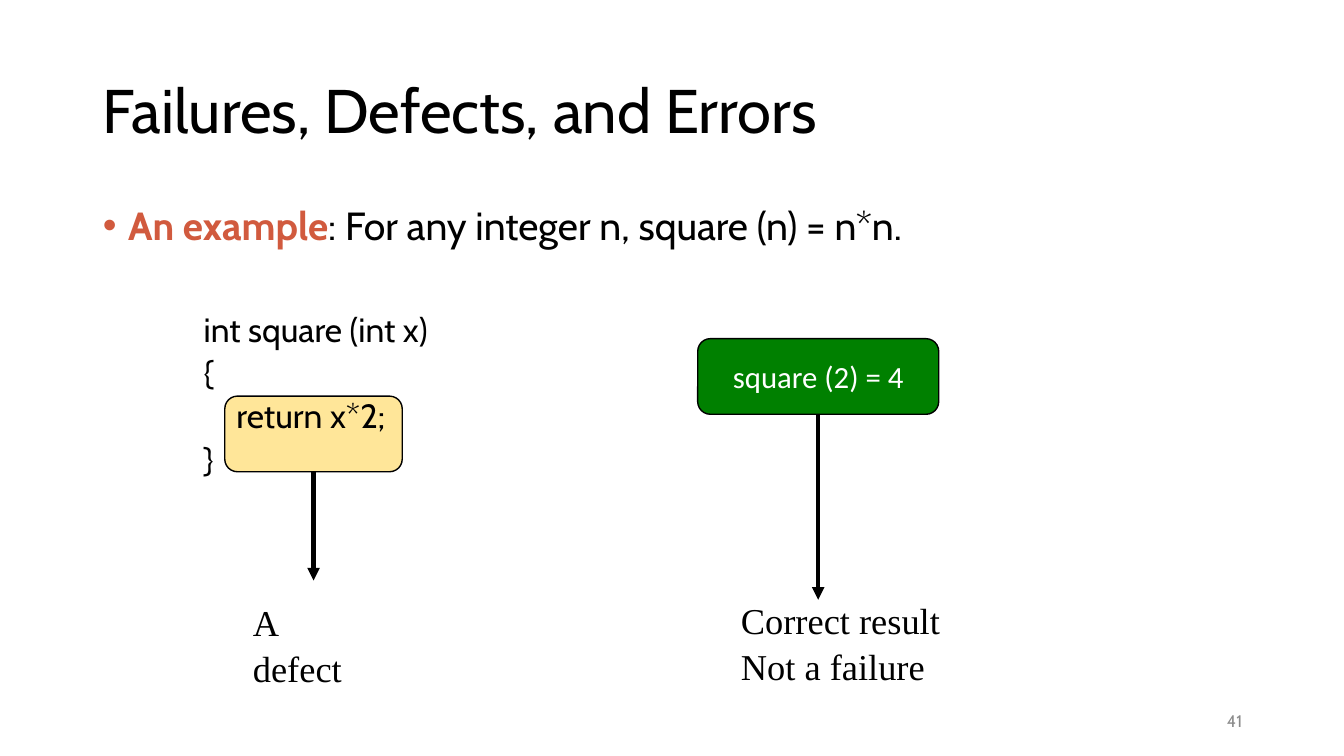
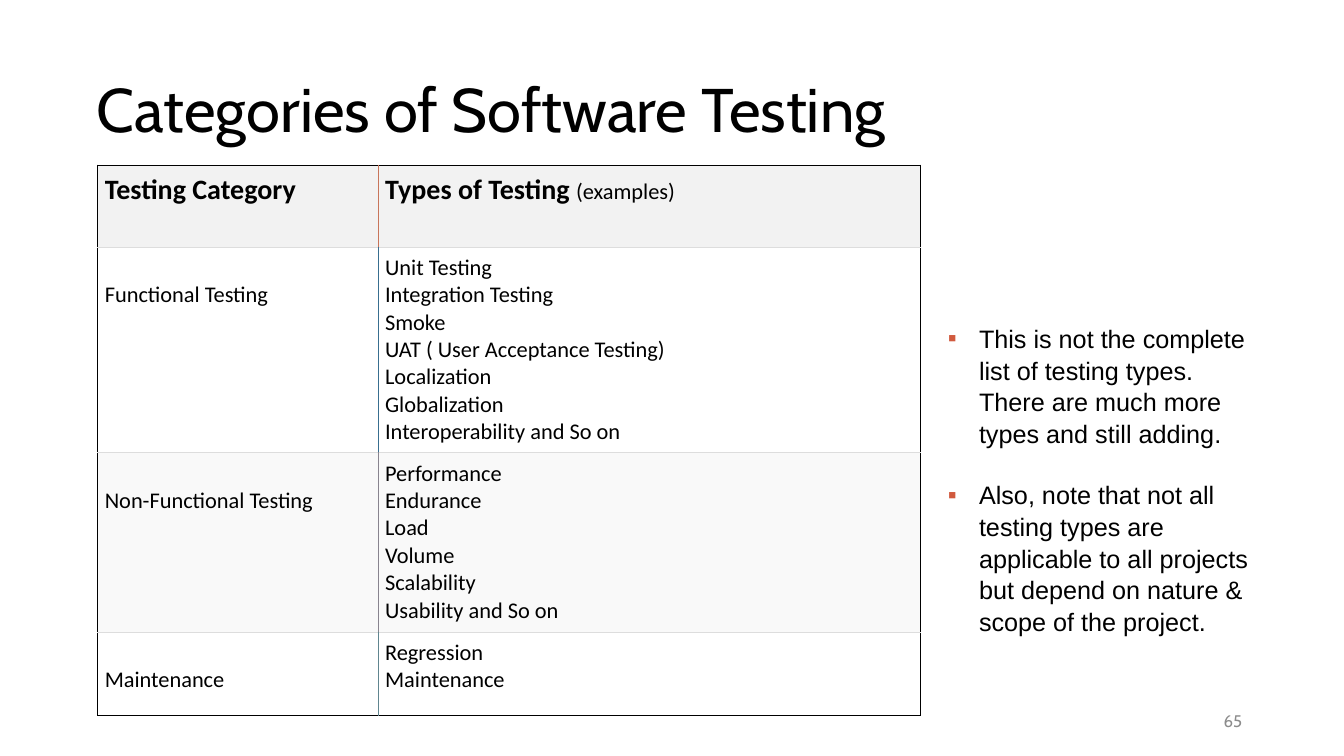
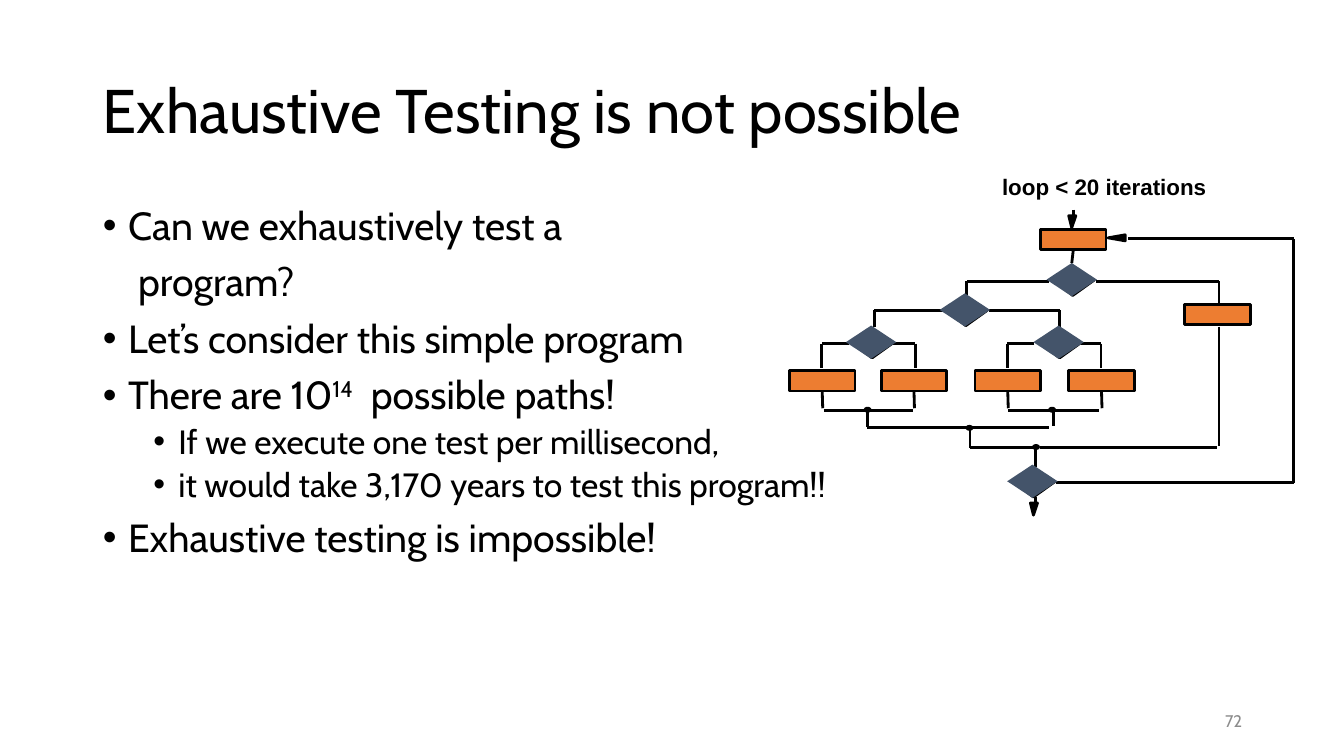
from dataclasses import dataclass
from itertools import pairwise
from typing import NamedTuple, Optional

from lxml import etree
from pptx import Presentation
from pptx import util as u
from pptx.dml.color import RGBColor
from pptx.enum import shapes as kinds, text
from pptx.oxml import ns

BLACK, WHITE, GREY = "000000", "FFFFFF", "8C8C8C"
ACCENT, RULE = "D15A3E", "DDDDDD"
YELLOW, GREEN, ORANGE, SLATE = "FFE699", "008000", "ED7D31", "44546A"
MAIN_FONT = "Cabin"
SHAPE, ANCHOR = kinds.MSO_SHAPE, text.MSO_ANCHOR
TOP, LEFT, BOTTOM = 0, 1, 2


class Box(NamedTuple):
    left: float
    top: float
    width: float
    height: float

    @property
    def middle(self) -> float:
        return self.left + self.width / 2

    @property
    def bottom(self) -> float:
        return self.top + self.height

    def lengths(self) -> list:
        return [u.Inches(value) for value in self]


@dataclass
class Run:
    text: str
    size: float = 28
    font: str = MAIN_FONT
    color: str = BLACK
    bold: bool = False
    raised: bool = False


@dataclass
class Paragraph:
    runs: list
    margin: float = 0
    indent: float = 0
    bullet: str = ""
    bullet_color: str = BLACK
    before: float = 0
    spacing: float = 1.0
    level: int = 0
    alignment: text.PP_ALIGN = text.PP_ALIGN.LEFT


class TableRow(NamedTuple):
    height: float
    fill: str
    divider: str
    divider_width: float
    cells: list
    left_inset: float  # top inset of the first column


TITLE_BOX = Box(0.92, 0.4, 11.5, 1.45)
BODY_BOX = Box(0.92, 2, 11.5, 4.76)
NUMBER_BOX = Box(9.42, 6.95, 3, 0.4)


def rgb(color: str) -> RGBColor:
    return RGBColor.from_string(color)


def set_all(target, **values) -> None:
    for name, value in values.items():
        setattr(target, name, value)


def add_xml(parent, tag: str, **attributes):
    return etree.SubElement(parent, ns.qn(tag), attributes)


def set_bullet(properties, item: Paragraph) -> None:
    if not item.bullet:
        add_xml(properties, "a:buNone")
        return
    add_xml(add_xml(properties, "a:buClr"), "a:srgbClr", val=item.bullet_color)
    add_xml(properties, "a:buFont", typeface="Arial")
    add_xml(properties, "a:buChar", char=item.bullet)


def write(frame, items: list, **frame_values) -> None:
    set_all(frame, **{"word_wrap": True, "auto_size": text.MSO_AUTO_SIZE.NONE, **frame_values})
    for index, item in enumerate(items):
        paragraph = frame.add_paragraph() if index else frame.paragraphs[0]
        properties = paragraph._p.get_or_add_pPr()
        properties.set("marL", str(u.Inches(item.margin)))
        properties.set("indent", str(u.Inches(item.indent)))
        set_bullet(properties, item)
        set_all(paragraph, level=item.level, alignment=item.alignment, line_spacing=item.spacing,
                space_before=u.Pt(item.before), space_after=u.Pt(0))
        for piece in item.runs:
            run = paragraph.add_run()
            run.text = piece.text
            set_all(run.font, name=piece.font, size=u.Pt(piece.size), bold=piece.bold)
            run.font.color.rgb = rgb(piece.color)
            if piece.raised:
                run._r.get_or_add_rPr().set("baseline", "30000")


def place(shape, box: Box) -> None:
    set_all(shape, **dict(zip(("left", "top", "width", "height"), box.lengths())))


def add_text(slide, box: Box, items: list, **frame_values) -> None:
    write(slide.shapes.add_textbox(*box.lengths()).text_frame, items, **frame_values)


def style_shape(shape, fill: Optional[str], line_width: float) -> None:
    shape.shadow.inherit = False
    if fill:
        shape.fill.solid()
        shape.fill.fore_color.rgb = rgb(fill)
    else:
        shape.fill.background()
    if line_width:
        shape.line.color.rgb = rgb(BLACK)
        shape.line.width = u.Pt(line_width)
    else:
        shape.line.fill.background()


def add_shape(slide, kind, box: Box, fill: str, line_width: float = 2):
    shape = slide.shapes.add_shape(kind, *box.lengths())
    style_shape(shape, fill, line_width)
    return shape


def add_line(slide, start: tuple, end: tuple, width: float = 2, arrow: bool = False,
             source=None, target=None):
    """Draw a straight line, joined to the bottom of source and the top of target."""
    points = [u.Inches(value) for value in (*start, *end)]
    connector = slide.shapes.add_connector(kinds.MSO_CONNECTOR.STRAIGHT, *points)
    if source is not None:
        connector.begin_connect(source, BOTTOM)
    if target is not None:
        connector.end_connect(target, TOP)
    connector.line.color.rgb = rgb(BLACK)
    connector.line.width = u.Pt(width)
    if arrow:
        add_xml(connector.line._get_or_add_ln(), "a:tailEnd", type="triangle")
    add_xml(connector._element.spPr, "a:effectLst")
    return connector


def add_outline(slide, points: list, fill: Optional[str] = None, close: bool = False) -> None:
    start, *others = [(u.Inches(x), u.Inches(y)) for x, y in points]
    builder = slide.shapes.build_freeform(*start)
    builder.add_line_segments(others, close=close)
    style_shape(builder.convert_to_shape(), fill, 2)


def add_slide(presentation, title: str, number: int, body: list,
              title_box: Box = TITLE_BOX, body_box: Box = BODY_BOX):
    slide = presentation.slides.add_slide(presentation.slide_layouts[1])
    heading, content = slide.placeholders
    place(heading, title_box)
    write(heading.text_frame, [Paragraph([Run(title, 44)], spacing=0.9)],
          vertical_anchor=ANCHOR.MIDDLE)
    place(content, body_box)
    write(content.text_frame, body, vertical_anchor=ANCHOR.TOP)
    add_text(slide, NUMBER_BOX,
             [Paragraph([Run(str(number), 12, color=GREY)], alignment=text.PP_ALIGN.RIGHT)],
             vertical_anchor=ANCHOR.MIDDLE)
    return slide


def bullet(*runs: Run, level: int = 0, before: float = 10, color: str = BLACK) -> Paragraph:
    return Paragraph(list(runs), 0.25 + level / 2, -0.25, "•", color, before, 0.9, level)


def build_defect_slide(presentation) -> None:
    code = ["int square (int x)", "{", "\t return x*2;", "}"]
    body = [bullet(Run("An example", color=ACCENT, bold=True),
                   Run(": For any integer n, square (n) = n*n."), before=0, color=ACCENT)]
    body += [Paragraph([Run(line, 24)], 1.25, -0.25, before=5 if index else 46,
                       spacing=0.9, level=2) for index, line in enumerate(code)]
    slide = add_slide(presentation, "Failures, Defects, and Errors", 41, body)

    defect_box, result_box = Box(2.23, 3.93, 1.76, 0.75), Box(6.92, 3.36, 2.39, 0.75)
    defect = add_shape(slide, SHAPE.ROUNDED_RECTANGLE, defect_box, YELLOW, 1)
    slide.shapes._spTree.insert(2, defect._element)  # behind the code
    result = add_shape(slide, SHAPE.ROUNDED_RECTANGLE, result_box, GREEN, 1)
    write(result.text_frame, [Paragraph([Run("square (2) = 4", 22, "Calibri", WHITE)],
                                        alignment=text.PP_ALIGN.CENTER)],
          vertical_anchor=ANCHOR.MIDDLE)
    for source, box, end in ((defect, defect_box, 5.76), (result, result_box, 5.95)):
        add_line(slide, (box.middle, box.bottom), (box.middle, end), 3, True, source)
    for box, lines in ((Box(2.41, 5.88, 1.3, 1), ["A defect"]),
                       (Box(7.25, 5.86, 2.96, 1), ["Correct result", "Not a failure"])):
        add_text(slide, box, [Paragraph([Run(line, 26, "Times New Roman")], spacing=1.05)
                              for line in lines])


def table_text(content: str, size: float = 16, bold: bool = False) -> Run:
    return Run(content, size, "Calibri", bold=bold)


def set_border(cell, position: int, side: str, color: str, width: float) -> None:
    properties = cell._tc.get_or_add_tcPr()
    line = etree.Element(ns.qn(f"a:ln{side}"), w=str(u.Pt(width)))
    add_xml(add_xml(line, "a:solidFill"), "a:srgbClr", val=color)
    properties.insert(position, line)


def category_row(height: float, fill: str, divider: str, category: str, types: list) -> TableRow:
    return TableRow(height, fill, divider, 1,
                    [[[table_text(category)]], [[table_text(name)] for name in types]], 0.34)


def build_category_slide(presentation) -> None:
    notes = [
        "This is not the complete list of testing types. There are much more types and "
        "still adding.",
        "Also, note that not all testing types are applicable to all projects but depend on "
        "nature & scope of the project.",
    ]
    body = [Paragraph([Run(note, 18, "Arial")], 0.31, -0.31, "▪", ACCENT,
                      before=21 if index else 0, spacing=1.05)
            for index, note in enumerate(notes)]
    slide = add_slide(presentation, "Categories of Software Testing", 65, body,
                      Box(0.86, 0.74, 10.5, 0.75), Box(9.3, 3.14, 3.23, 3.13))
    rows = [
        TableRow(0.81, "F2F2F2", "C8755A", 0.6,
                 [[[table_text("Testing Category", 20, True)]],
                  [[table_text("Types of Testing ", 20, True), table_text("(examples)")]]], 0.07),
        category_row(2.04, WHITE, "386E8F", "Functional Testing",
                     ["Unit Testing", "Integration Testing", "Smoke",
                      "UAT ( User Acceptance Testing)", "Localization", "Globalization",
                      "Interoperability and So on"]),
        category_row(1.78, "F9F9F9", "88848F", "Non-Functional Testing",
                     ["Performance", "Endurance", "Load", "Volume", "Scalability",
                      "Usability and So on"]),
        category_row(0.83, WHITE, "60858F", "Maintenance", ["Regression", "Maintenance"]),
    ]
    widths = (2.78, 5.38)
    box = Box(0.97, 1.64, sum(widths), sum(row.height for row in rows))
    table = slide.shapes.add_table(len(rows), len(widths), *box.lengths()).table
    set_all(table, first_row=False, horz_banding=False)
    for column, width in zip(table.columns, widths):
        column.width = u.Inches(width)
    edge, rule = (BLACK, 1), (RULE, 0.6)
    for row_index, row in enumerate(rows):
        table.rows[row_index].height = u.Inches(row.height)
        divider = (row.divider, row.divider_width)
        for column_index, lines in enumerate(row.cells):
            cell = table.cell(row_index, column_index)
            first = column_index == 0
            inset = u.Inches(0.07)
            set_all(cell, margin_left=inset, margin_right=inset, margin_bottom=inset,
                    margin_top=u.Inches(row.left_inset) if first else inset)
            cell.fill.solid()
            cell.fill.fore_color.rgb = rgb(row.fill)
            borders = {"L": edge if first else divider, "R": divider if first else edge,
                       "T": rule if row_index else edge,
                       "B": rule if row_index < len(rows) - 1 else edge}
            for position, (side, border) in enumerate(borders.items()):
                set_border(cell, position, side, *border)
            write(cell.text_frame, [Paragraph(runs) for runs in lines])


def add_decision(slide, left: float, top: float):
    """Draw a diamond over a slightly shifted black rim."""
    x, y = left + 0.06, top + 0.17
    add_outline(slide, [(x, y), (x + 0.2, y - 0.14), (x + 0.41, y), (x + 0.2, y + 0.15)],
                close=True)
    return add_shape(slide, SHAPE.DIAMOND, Box(left, top, 0.5, 0.33), SLATE, 0)


def add_step(slide, left: float, top: float):
    return add_shape(slide, SHAPE.RECTANGLE, Box(left, top, 0.65, 0.2), ORANGE)


def build_flowchart(slide) -> None:
    add_text(slide, Box(9.84, 1.67, 2.25, 0.37),
             [Paragraph([Run("loop < 20 iterations", 16, "Arial", bold=True)])], word_wrap=False)
    routes = [
        [(10.65, 2.08), (10.65, 2.16)],
        [(10.4, 2.79), (9.59, 2.79), (9.59, 2.94)],
        [(10.87, 2.79), (12.09, 2.79), (12.09, 3.01)],
        [(9.38, 3.08), (8.67, 3.08), (8.67, 3.24)],
        [(9.81, 3.08), (10.51, 3.08), (10.51, 3.24)],
        [(8.42, 3.41), (8.15, 3.41), (8.15, 3.65)],
        [(8.86, 3.41), (9.08, 3.41), (9.08, 3.65)],
        [(10.26, 3.41), (9.99, 3.41), (9.99, 3.65)],
        [(10.72, 3.41), (10.92, 3.41), (10.92, 3.65)],
        [(8.17, 4.07), (9.06, 4.07)],
        [(10, 4.07), (10.9, 4.07)],
        [(8.6, 4.07), (8.6, 4.24), (10.4, 4.24)],
        [(10.45, 4.07), (10.45, 4.23)],
        [(9.62, 4.26), (9.62, 4.44), (10.26, 4.44)],
        [(10.32, 4.44), (12.07, 4.44)],
        [(12.09, 3.24), (12.09, 4.42)],
        [(10.27, 4.44), (10.27, 4.63)],
        [(10.47, 4.79), (12.83, 4.79), (12.83, 2.37), (11.19, 2.37)],
        [(10.27, 4.93), (10.27, 5.03)],
    ]
    for route in routes:
        for start, end in pairwise(route):
            add_line(slide, start, end)
    for x, y in ((10.6, 2.14), (10.22, 4.99)):
        add_outline(slide, [(x, y), (x + 0.07, y), (x + 0.03, y + 0.12)], BLACK, True)
    add_outline(slide, [(10.99, 2.36), (11.16, 2.33), (11.16, 2.39)], BLACK, True)
    for left, top in ((8.58, 4.05), (10.41, 4.05), (9.59, 4.23), (10.25, 4.42)):
        add_shape(slide, SHAPE.OVAL, Box(left, top, 0.05, 0.03), BLACK)

    first_step = add_step(slide, 10.32, 2.28)
    add_step(slide, 11.75, 3.02)
    for left in (7.83, 8.74, 9.67, 10.6):
        leaf = add_step(slide, left, 3.68)
        add_line(slide, (left + 0.33, 3.88), (left + 0.33, 4.05), source=leaf)
    first_decision = add_decision(slide, 10.38, 2.61)
    add_line(slide, (10.65, 2.48), (10.63, 2.61), source=first_step, target=first_decision)
    for left, top in ((9.32, 2.91), (8.39, 3.23), (10.25, 3.23), (9.99, 4.61)):
        add_decision(slide, left, top)


def build_exhaustive_slide(presentation) -> None:
    body = [
        bullet(Run("Can we exhaustively test a"), before=0),
        Paragraph([Run("program?")], 0.35, before=10, spacing=0.9),
        bullet(Run("Let’s consider this simple program")),
        bullet(Run("There are 10"), Run("14", raised=True), Run("  possible paths!")),
        bullet(Run("If we execute one test per millisecond,", 24), level=1, before=5),
        bullet(Run("it would take 3,170 years to test this program!!", 24), level=1, before=5),
        bullet(Run("Exhaustive testing is impossible!")),
    ]
    build_flowchart(add_slide(presentation, "Exhaustive Testing is not possible", 72, body))


def main() -> None:
    presentation = Presentation()
    set_all(presentation, slide_width=u.Inches(13.33), slide_height=u.Inches(7.5))
    build_defect_slide(presentation)
    build_category_slide(presentation)
    build_exhaustive_slide(presentation)
    presentation.save("out.pptx")


if __name__ == "__main__":
    main()
